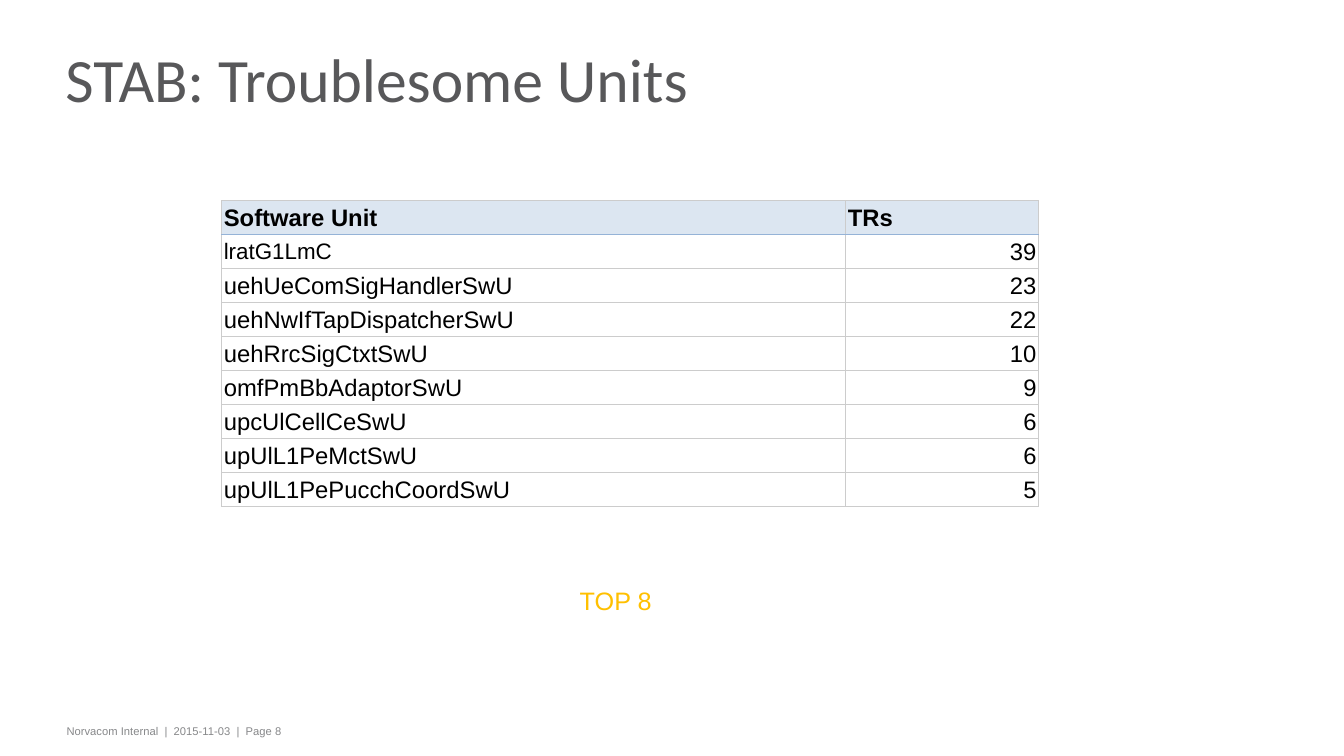
from lxml import etree
from pptx import Presentation
from pptx import util as u
from pptx.dml.color import RGBColor
from pptx.enum import text
from pptx.oxml import ns

INK, GREY, EDGE, RULE = "000000", "58585A", "CCCCCC", "95B3D7"
HEAD, GOLD, FOOT = "DCE6F1", "FFC000", "87888A"
UNITS = [
    ("lratG1LmC", 39),
    ("uehUeComSigHandlerSwU", 23),
    ("uehNwIfTapDispatcherSwU", 22),
    ("uehRrcSigCtxtSwU", 10),
    ("omfPmBbAdaptorSwU", 9),
    ("upcUlCellCeSwU", 6),
    ("upUlL1PeMctSwU", 6),
    ("upUlL1PePucchCoordSwU", 5),
]


def color(code):
    """Turn a hex string into a colour."""
    return RGBColor.from_string(code)


def write(frame, words, size=17, ink=INK, font="Arial", bold=False,
          align=text.PP_ALIGN.LEFT, space=1.0):
    """Put one formatted paragraph into a text frame."""
    para = frame.paragraphs[0]
    para.alignment, para.line_spacing = align, space
    run = para.add_run()
    run.text = words
    run.font.size, run.font.name, run.font.bold = u.Pt(size), font, bold
    run.font.color.rgb = color(ink)


def border(cell, **sides):
    """Draw 1 pt cell borders; sides are given in the order L, R, T, B."""
    props = cell._tc.get_or_add_tcPr()
    for spot, (side, code) in enumerate(sides.items()):
        line = etree.Element(ns.qn("a:ln" + side), w=str(u.Pt(1)))
        fill = etree.SubElement(line, ns.qn("a:solidFill"))
        etree.SubElement(fill, ns.qn("a:srgbClr"), val=code)
        props.insert(spot, line)


class Deck:
    """Holds the presentation and its current slide."""

    def __init__(self, width, height):
        """Start a deck with one blank slide."""
        self.pres = Presentation()
        self.pres.slide_width = u.Inches(width)
        self.pres.slide_height = u.Inches(height)
        self.slide = self.pres.slides.add_slide(self.pres.slide_layouts[6])

    def label(self, box, words, wrap=True, pad=0.05,
              anchor=text.MSO_ANCHOR.TOP, **style):
        """Add a text box."""
        frame = self.slide.shapes.add_textbox(*map(u.Inches, box)).text_frame
        frame.word_wrap, frame.vertical_anchor = wrap, anchor
        frame.margin_left = frame.margin_right = u.Inches(0.08)
        frame.margin_top = frame.margin_bottom = u.Inches(pad)
        write(frame, words, **style)

    def table(self, box, heads, rows, widths):
        """Add a bordered table with a tinted header row."""
        shape = self.slide.shapes.add_table(
            len(rows) + 1, len(heads), *map(u.Inches, box))
        grid = shape.table
        for col, width in zip(grid.columns, widths):
            col.width = u.Inches(width)
        for r, row in enumerate([heads, *rows]):
            for c, value in enumerate(row):
                self.cell(grid.cell(r, c), r, value)

    def cell(self, cell, row, value):
        """Fill and format one table cell; numbers align right."""
        cell.margin_left = cell.margin_right = u.Inches(0.02)
        cell.margin_top, cell.margin_bottom = u.Inches(0.01), 0
        cell.vertical_anchor = text.MSO_ANCHOR.MIDDLE
        if row == 0:
            cell.fill.solid()
            cell.fill.fore_color.rgb = color(HEAD)
        else:
            cell.fill.background()
        border(cell, L=EDGE, R=EDGE, T=RULE if row == 1 else EDGE,
               B=RULE if row == 0 else EDGE)
        number = isinstance(value, int)
        write(cell.text_frame, str(value), bold=row == 0,
              size=16 if row == 1 and not number else 17,
              align=text.PP_ALIGN.RIGHT if number else text.PP_ALIGN.LEFT)

    def save(self):
        """Write the file."""
        self.pres.save("out.pptx")


deck = Deck(13.33, 7.5)
deck.label((0.58, 7.14, 10.79, 0.24),
           "Norvacom Internal\u00a0 |\u00a0 2015-11-03\u00a0 |\u00a0 Page 8",
           size=8, ink=FOOT)
deck.label((0.57, 0.26, 10.93, 1.19), "STAB: Troublesome Units", pad=0,
           anchor=text.MSO_ANCHOR.MIDDLE, size=44, ink=GREY, font="Calibri",
           space=0.75)
deck.table((2.2, 1.99, 8.1, 3.04), ("Software Unit", "TRs"), UNITS,
           (6.19, 1.91))
deck.label((5.67, 5.76, 0.99, 0.4), "TOP 8 ", wrap=False, size=18, ink=GOLD)
deck.save()
